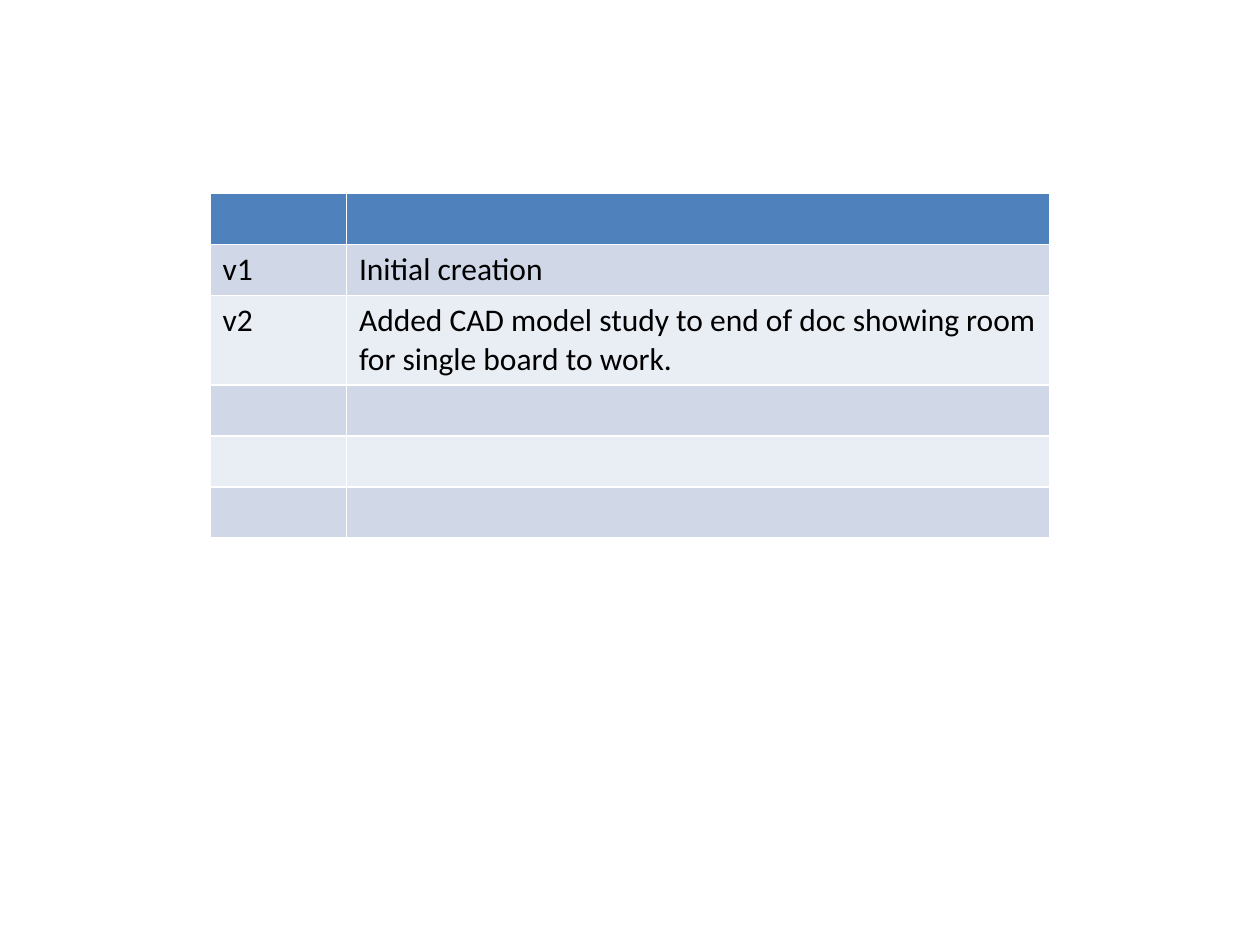
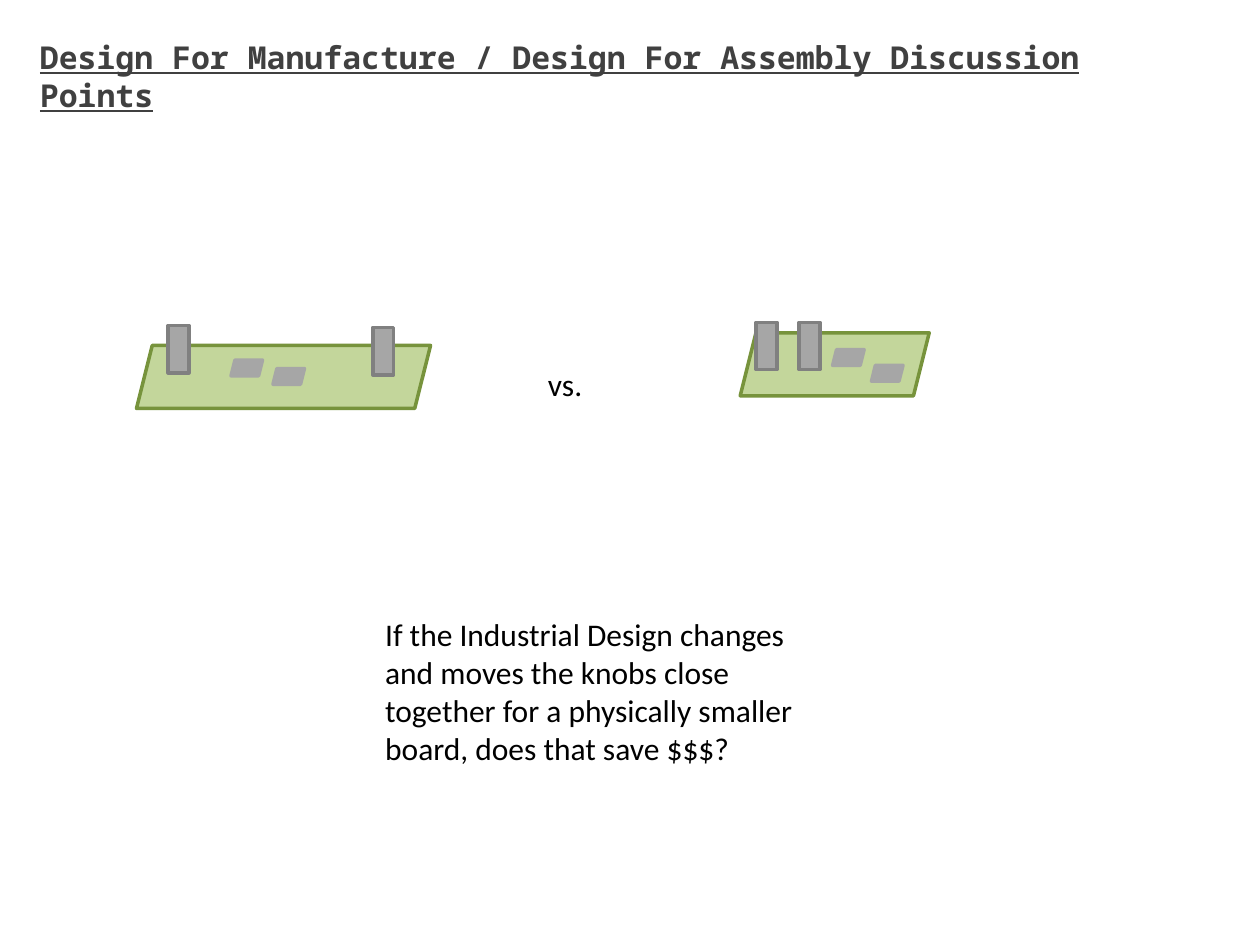
"""Build a revision table and a slide comparing two circuit board sizes."""
from pptx import Presentation
from pptx.dml.color import RGBColor
from pptx.enum.shapes import MSO_SHAPE
from pptx.enum.text import MSO_ANCHOR, PP_ALIGN
from pptx.util import Inches, Pt

SLANT, RECT = MSO_SHAPE.PARALLELOGRAM, MSO_SHAPE.RECTANGLE
TOP, LEFT = MSO_ANCHOR.TOP, PP_ALIGN.LEFT
INK = {
    "text": "000000", "title": "404040", "head": "4F81BD",
    "odd": "D0D8E8", "even": "E9EDF4", "board": "C3D69B",
    "edge": "77933C", "part": "A6A6A6", "rim": "808080",
}

deck = Presentation()
deck.slide_width, deck.slide_height = Inches(10), Inches(7.5)
UNIT = deck.slide_width / 120


def grid(*cells):
    return [round(cell * UNIT) for cell in cells]


def write(frame, words, font="Calibri", ink="text", bold=False, line=False):
    frame.word_wrap = True
    frame.vertical_anchor = TOP
    para = frame.paragraphs[0]
    para.alignment = LEFT
    run = para.add_run()
    run.text = words
    run.font.name, run.font.size = font, Pt(18)
    run.font.bold, run.font.underline = bold, line
    run.font.color.rgb = RGBColor.from_string(INK[ink])


log = deck.slides.add_slide(deck.slide_layouts[6])
notes = [
    ("", ""),
    ("v1", "Initial creation"),
    ("v2", "Added CAD model study to end of doc showing room for single board to work."),
    ("", ""), ("", ""), ("", ""),
]
table = log.shapes.add_table(len(notes), 2, *grid(20, 18.4, 80, 29.2)).table
for col, wide in zip(table.columns, grid(13, 67)):
    col.width = wide
for i, note in enumerate(notes):
    table.rows[i].height = grid(4.87)[0]
    shade = "head" if i == 0 else "odd" if i % 2 else "even"
    for j, words in enumerate(note):
        cell = table.cell(i, j)
        cell.fill.solid()
        cell.fill.fore_color.rgb = RGBColor.from_string(INK[shade])
        if words:
            write(cell.text_frame, words)

talk = deck.slides.add_slide(deck.slide_layouts[5])
title = talk.shapes.title
title.left, title.top, title.width, title.height = grid(2.6, 3, 105.5, 4.8)
write(title.text_frame, "Design For Manufacture / Design For Assembly Discussion Points",
      font="Noto Sans Mono", ink="title", bold=True, line=True)

KINDS = {
    "board": (SLANT, 6, "board", "edge"),
    "chip": (SLANT, 1.5, "part", "part"),
    "knob": (RECT, 4.5, "part", "rim"),
}
boards = [
    [("board", 13, 32.9, 28), ("chip", 22, 34.3, 3), ("chip", 26, 35.1, 3),
     ("knob", 16, 31, 2), ("knob", 35.5, 31.2, 2)],
    [("board", 70.5, 31.7, 18), ("chip", 79.3, 33.3, 3), ("chip", 83, 34.8, 3),
     ("knob", 72, 30.7, 2), ("knob", 76.1, 30.7, 2)],
]
for board in boards:
    group = talk.shapes.add_group_shape()
    for kind, x, y, wide in board:
        form, tall, fill, line = KINDS[kind]
        part = group.shapes.add_shape(form, *grid(x, y, wide, tall))
        part.shadow.inherit = False
        part.fill.solid()
        part.fill.fore_color.rgb = RGBColor.from_string(INK[fill])
        part.line.color.rgb = RGBColor.from_string(INK[line])
        part.line.width = Pt(2)

for words, *place in [
    ("vs.", 51, 34.2, 8.5, 4.8),
    ("If the Industrial Design changes and moves the knobs close together "
     "for a physically smaller board, does that save $$$?", 35.5, 58, 44.5, 15.7),
]:
    write(talk.shapes.add_textbox(*grid(*place)).text_frame, words)

deck.save("out.pptx")
